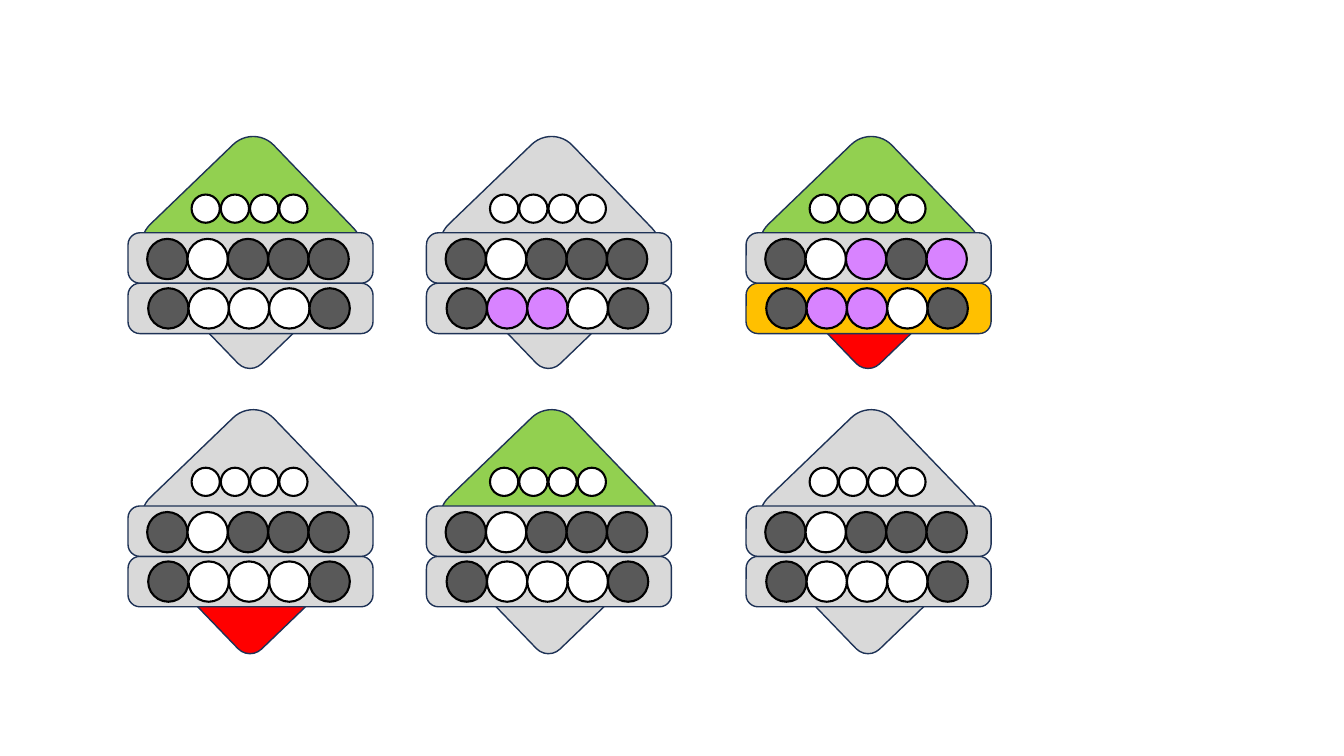
from pptx import Presentation
from pptx.dml.color import RGBColor
from pptx.enum.shapes import MSO_SHAPE
from pptx.util import Inches, Pt

ROUNDED = MSO_SHAPE.ROUNDED_RECTANGLE
OVAL = MSO_SHAPE.OVAL

GRAY = RGBColor(0xD9, 0xD9, 0xD9)
DARK = RGBColor(0x59, 0x59, 0x59)
WHITE = RGBColor(0xFF, 0xFF, 0xFF)
PURPLE = RGBColor(0xD8, 0x83, 0xFF)
GREEN = RGBColor(0x92, 0xD0, 0x50)
RED = RGBColor(0xFF, 0x00, 0x00)
AMBER = RGBColor(0xFF, 0xC0, 0x00)
NAVY = RGBColor(0x1E, 0x32, 0x56)
BLACK = RGBColor(0x00, 0x00, 0x00)

DOT_COLORS = {"D": DARK, "W": WHITE, "P": PURPLE}
COLUMNS = [1.27, 4.23, 7.4]
ROWS = [2.31, 5.02]
TIP_OFFSETS = [0.21, 0.33]
BAR_WIDTH, BAR_HEIGHT = 2.43, 0.5
DIAMOND_ANGLE = 136.1

UNITS = [
    [
        (GREEN, GRAY, GRAY, "DWDDD", "DWWWD"),
        (GRAY, GRAY, GRAY, "DWDDD", "DPPWD"),
        (GREEN, AMBER, RED, "DWPDP", "DPPWD"),
    ],
    [
        (GRAY, GRAY, RED, "DWDDD", "DWWWD"),
        (GREEN, GRAY, GRAY, "DWDDD", "DWWWD"),
        (GRAY, GRAY, GRAY, "DWDDD", "DWWWD"),
    ],
]


def add_outlined(group, kind, left, top, width, height, fill, line, weight):
    shape = group.shapes.add_shape(
        kind, Inches(left), Inches(top), Inches(width), Inches(height))
    shape.shadow.inherit = False
    shape.fill.solid()
    shape.fill.fore_color.rgb = fill
    shape.line.color.rgb = line
    shape.line.width = Pt(weight)
    return shape


def add_diamond(group, left, top, width, height, fill):
    diamond = add_outlined(group, ROUNDED, left, top, width, height, fill, NAVY, 1)
    diamond.rotation = DIAMOND_ANGLE


def add_bar(group, left, top, fill):
    bar = add_outlined(group, ROUNDED, left, top, BAR_WIDTH, BAR_HEIGHT, fill, NAVY, 1)
    bar.adjustments[0] = 0.237


def add_dots(group, left, top, size, step, codes):
    for index, code in enumerate(codes):
        add_outlined(group, OVAL, left + index * step, top, size, size,
                     DOT_COLORS[code], BLACK, 1.5)


def add_unit(slide, left, top, tip_offset, unit):
    roof_fill, lower_fill, tip_fill, upper_dots, lower_dots = unit
    group = slide.shapes.add_group_shape()
    add_diamond(group, left + 0.37, top - 0.72, 1.71, 1.71, roof_fill)
    add_diamond(group, left + 0.72, top + tip_offset, 0.99, 1, tip_fill)
    add_bar(group, left, top + BAR_HEIGHT, lower_fill)
    add_bar(group, left, top, GRAY)
    add_dots(group, left + 0.2, top + 0.55, 0.4, 0.4, lower_dots)
    add_dots(group, left + 0.19, top + 0.06, 0.4, 0.4, upper_dots)
    add_dots(group, left + 0.63, top - 0.38, 0.28, 0.29, "WWWW")


def main():
    presentation = Presentation()
    presentation.slide_width = Inches(13.33)
    presentation.slide_height = Inches(7.5)
    slide = presentation.slides.add_slide(presentation.slide_layouts[6])
    for top, tip_offset, units in zip(ROWS, TIP_OFFSETS, UNITS):
        for left, unit in zip(COLUMNS, units):
            add_unit(slide, left, top, tip_offset, unit)
    presentation.save("out.pptx")


if __name__ == "__main__":
    main()
